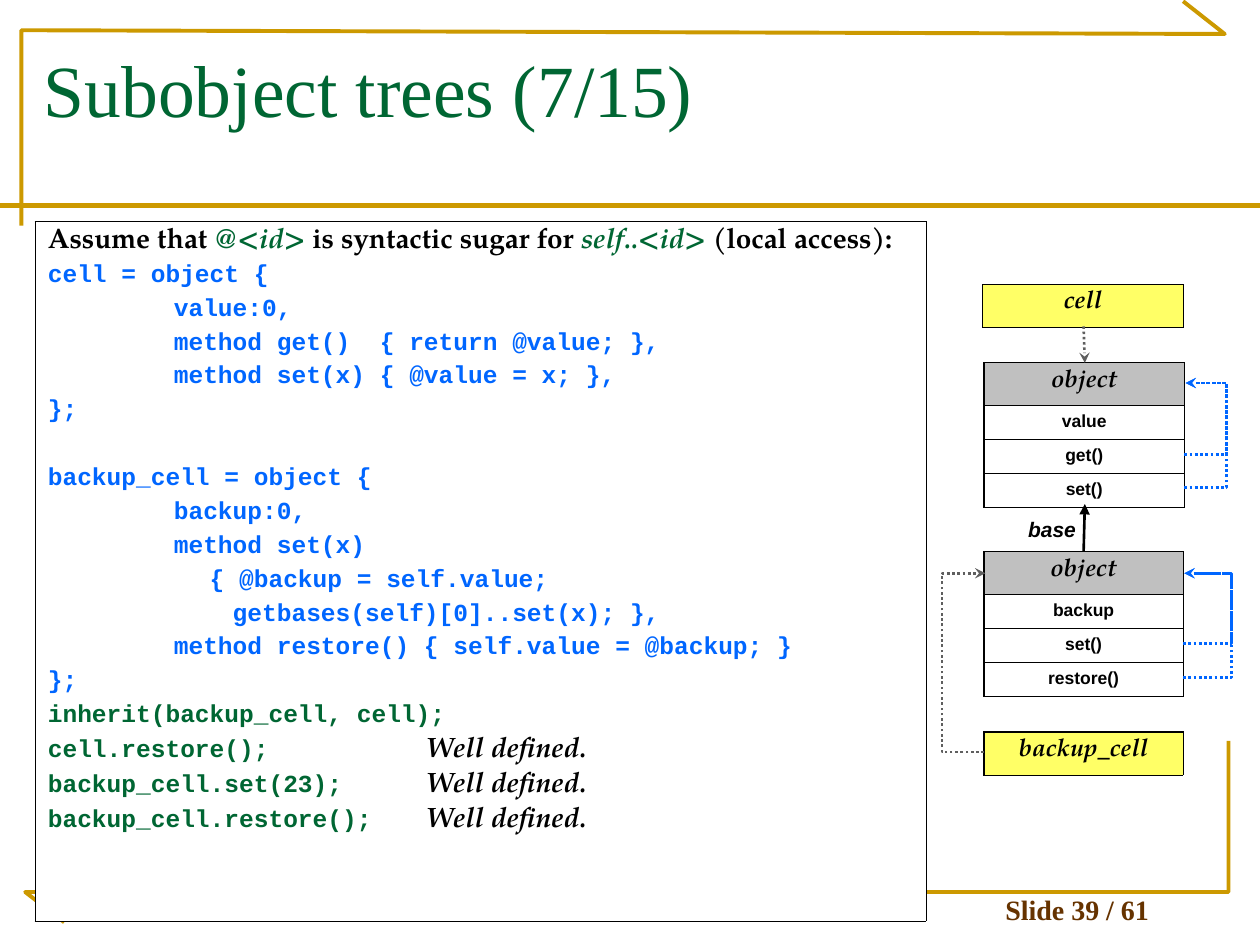
from typing import NamedTuple

from lxml.etree import SubElement
from pptx import Presentation
from pptx.dml.color import RGBColor
from pptx.enum.dml import MSO_LINE
from pptx.enum.shapes import MSO_CONNECTOR
from pptx.enum.text import MSO_ANCHOR, PP_ALIGN
from pptx.oxml.ns import qn
from pptx.util import Pt

PX = 9144  # EMU per px, 100 px to the inch

BLACK = RGBColor(0x00, 0x00, 0x00)
WHITE = RGBColor(0xFF, 0xFF, 0xFF)
GOLD = RGBColor(0xCC, 0x99, 0x00)
GREEN = RGBColor(0x00, 0x66, 0x33)
BLUE = RGBColor(0x00, 0x66, 0xFF)
BROWN = RGBColor(0x66, 0x33, 0x00)
SILVER = RGBColor(0xC0, 0xC0, 0xC0)
YELLOW = RGBColor(0xFF, 0xFF, 0x66)
DARK_GRAY = RGBColor(0x5F, 0x5F, 0x5F)

SERIF, SANS = "Times New Roman", "Arial"
PROSE, CODE = "TeX Gyre Pagella", "Courier New"


class Node(NamedTuple):
    left: int
    top: int
    width: int
    title: str
    fill: RGBColor
    members: tuple = ()


class Arrow(NamedTuple):
    start: tuple
    end: tuple
    color: RGBColor
    head: str = "stealth"
    dotted: bool = True


class Loop(NamedTuple):
    x: int
    start_y: int
    end_y: int
    reach: int  # how far the loop swings out, negative to the left
    color: RGBColor


FRAMES = [
    [(17, 179), (17, 24), (972, 27), (939, 1)],
    [(51, 732), (20, 708), (975, 708), (975, 588)],
]
NODES = [
    Node(781, 288, 159, "object", SILVER, ("value", "get()", "set()")),
    Node(781, 438, 158, "object", SILVER, ("backup", "set()", "restore()")),
    Node(780, 226, 159, "cell", YELLOW),
    Node(781, 581, 158, "backup_cell", YELLOW),
]
ARROWS = [
    Arrow((860, 438), (861, 400), BLACK, "triangle", False),
    Arrow((860, 259), (861, 288), DARK_GRAY),
]
LOOPS = [
    Loop(940, 387, 304, 34, BLUE),
    Loop(940, 361, 304, 34, BLUE),
    Loop(939, 511, 455, 39, BLUE),
    Loop(939, 538, 455, 39, BLUE),
    Loop(781, 597, 455, -34, DARK_GRAY),
]
INTRO = [
    ("Assume that ", False),
    ("@<id>", True),
    (" is syntactic sugar for ", False),
    ("self..<id> ", True),
    ("(local access):", False),
]
CELL_CODE = [
    "cell = object {",
    "\tvalue:0,",
    "\tmethod get()  { return @value; },",
    "\tmethod set(x) { @value = x; },",
    "};",
]
BACKUP_CODE = [
    "backup_cell = object {",
    "\tbackup:0,",
    "\tmethod set(x)",
    "           { @backup = self.value;",
    "\t    getbases(self)[0]..set(x); },",
    "\tmethod restore() { self.value = @backup; }",
    "};",
]
CALLS = ["cell.restore(); \t\t", "backup_cell.set(23); \t", "backup_cell.restore(); \t"]


def write(para, text: str, *, size: int, font: str, color=BLACK, bold=True, italic=False):
    span = para.add_run()
    span.text = text
    span.font.size, span.font.name = Pt(size), font
    span.font.bold, span.font.italic = bold, italic
    span.font.color.rgb = color


def add_box(page, left: int, top: int, width: int, height: int, inset=(10, 5), wrap=True):
    box = page.shapes.add_textbox(left * PX, top * PX, width * PX, height * PX)
    frame = box.text_frame
    frame.word_wrap = wrap
    frame.margin_left = frame.margin_right = inset[0] * PX
    frame.margin_top = frame.margin_bottom = inset[1] * PX
    return frame


def add_frame(page, points: list):
    builder = page.shapes.build_freeform(*points[0], scale=PX)
    builder.add_line_segments(points[1:], close=False)
    shape = builder.convert_to_shape()
    shape.shadow.inherit = False
    shape.fill.background()
    shape.line.color.rgb, shape.line.width = GOLD, Pt(2.25)


def add_line(page, start: tuple, end: tuple, color, width=1.5, head="", dotted=False,
             kind=MSO_CONNECTOR.STRAIGHT):
    ends = [value * PX for value in (*start, *end)]
    line = page.shapes.add_connector(kind, *ends)
    line.line.width, line.line.color.rgb = Pt(width), color
    if dotted:
        line.line.dash_style = MSO_LINE.ROUND_DOT
    properties = line.element.spPr
    if head:
        SubElement(properties.find(qn("a:ln")), qn("a:tailEnd"), type=head)
    SubElement(properties, qn("a:effectLst"))
    return line


def add_loop(page, loop: Loop):
    # One px wide, so the bend is a multiple of that width
    line = add_line(page, (loop.x, loop.start_y), (loop.x + 1, loop.end_y), loop.color,
                    head="stealth", dotted=True, kind=MSO_CONNECTOR.ELBOW)
    guides = line.element.spPr.find(qn("a:prstGeom")).get_or_add_avLst()
    SubElement(guides, qn("a:gd"), name="adj1", fmla=f"val {loop.reach * 100000}")


def add_table(page, left: int, top: int, width: int, heights: list, fills: list):
    table = page.shapes.add_table(len(heights), 1, left * PX, top * PX,
                                  width * PX, sum(heights) * PX).table
    table.first_row = table.horz_banding = False
    for index, (height, fill) in enumerate(zip(heights, fills)):
        table.rows[index].height = height * PX
        cell = table.cell(index, 0)
        bottom = 0.45 if index == len(heights) - 1 else 0.75
        for side, weight in zip("LRTB", (0.75, 0.45, 0.75, bottom)):
            border = SubElement(cell._tc.get_or_add_tcPr(), qn(f"a:ln{side}"), w=str(Pt(weight)))
            SubElement(SubElement(border, qn("a:solidFill")), qn("a:srgbClr"), val=str(BLACK))
        cell.fill.solid()
        cell.fill.fore_color.rgb = fill
        cell.margin_left = cell.margin_right = 10 * PX
        cell.margin_top = cell.margin_bottom = 5 * PX
    return table


def add_node(page, node: Node):
    heights = [34] + [27] * len(node.members)
    fills = [node.fill] + [WHITE] * len(node.members)
    table = add_table(page, node.left, node.top, node.width, heights, fills)
    for index, text in enumerate((node.title, *node.members)):
        para = table.cell(index, 0).text_frame.paragraphs[0]
        para.alignment = PP_ALIGN.CENTER
        if index == 0:
            write(para, text, size=14, font=PROSE, italic=True)
        else:
            write(para, text, size=10, font=SANS)


def add_para(frame, before: float):
    para = frame.add_paragraph()
    tabs = SubElement(para._p.get_or_add_pPr(), qn("a:tabLst"))
    for stop in range(1, 8):
        SubElement(tabs, qn("a:tab"), pos=str(stop * 100 * PX), algn="l")
    para.space_before = Pt(before)
    return para


def add_listing(page):
    frame = add_table(page, 28, 176, 707, [555], [WHITE]).cell(0, 0).text_frame
    for text, is_term in INTRO:
        write(frame.paragraphs[0], text, size=16, font=PROSE,
              color=GREEN if is_term else BLACK, italic=is_term)
    for block, gap in ((CELL_CODE, 3.5), (BACKUP_CODE, 23)):
        for index, text in enumerate(block):
            para = add_para(frame, 3.5 if index else gap)
            write(para, text, size=14, font=CODE, color=BLUE)
    write(add_para(frame, 3.5), "inherit(backup_cell, cell);", size=14, font=CODE, color=GREEN)
    for call in CALLS:
        para = add_para(frame, 4)
        write(para, call, size=14, font=CODE, color=GREEN)
        write(para, "Well defined.", size=16, font=PROSE, italic=True)


def main():
    deck = Presentation()
    deck.slide_width, deck.slide_height = 1000 * PX, 750 * PX
    page = deck.slides.add_slide(deck.slide_layouts[6])

    # Gold frame and rule
    for points in FRAMES:
        add_frame(page, points)
    add_line(page, (0, 163), (1000, 163), GOLD, width=3)

    # Slide number and title
    footer = add_box(page, 737, 707, 236, 33)
    footer.vertical_anchor = MSO_ANCHOR.BOTTOM
    footer.paragraphs[0].alignment = PP_ALIGN.CENTER
    write(footer.paragraphs[0], "Slide 39 / 61", size=16, font=SERIF, color=BROWN)
    title = add_box(page, 25, 30, 942, 125)
    write(title.paragraphs[0], "Subobject trees (7/15)", size=42, font=SERIF,
          color=GREEN, bold=False)

    # Code listing
    add_listing(page)

    # Object diagram
    for node in NODES:
        add_node(page, node)
    for loop in LOOPS:
        add_loop(page, loop)
    for arrow in ARROWS:
        add_line(page, arrow.start, arrow.end, arrow.color, head=arrow.head, dotted=arrow.dotted)
    label = add_box(page, 816, 410, 38, 20, inset=(0, 0), wrap=False)
    write(label.paragraphs[0], "base", size=12, font=SANS, italic=True)

    deck.save("out.pptx")


if __name__ == "__main__":
    main()
